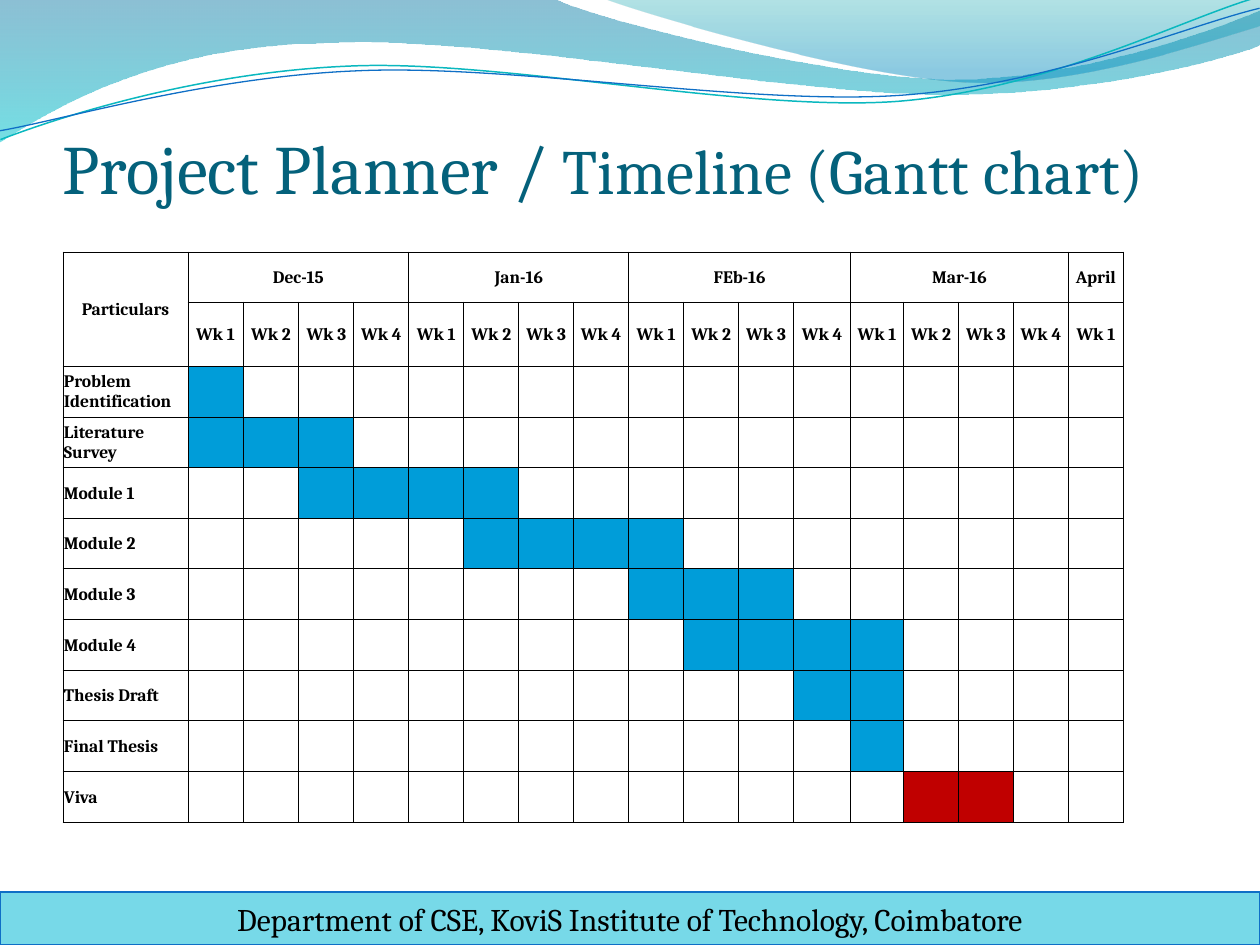
from pptx import Presentation
from pptx.dml.color import RGBColor as RGB
from pptx.enum.shapes import MSO_SHAPE as Kind
from pptx.enum.text import MSO_ANCHOR as Anchor, PP_ALIGN as Align
from pptx.oxml import parse_xml
from pptx.oxml.ns import nsdecls
from pptx.util import Emu, Pt

PX = 7257.14  # EMU in one px, 126 px to the inch
FONT, BLACK = "Cambria", "000000"
BLUE, RED, EDGE = "009DD9", "C00000", "0F6FC6"
NS = nsdecls("a")


def px(n):
    return Emu(round(n * PX))


def add_run(para, text, size, code, bold=False):
    run = para.add_run()
    run.text = text
    font = run.font
    font.name, font.size, font.bold = FONT, Pt(size), bold
    font.color.rgb = RGB.from_string(code)


deck = Presentation()
deck.slide_width, deck.slide_height = px(1260), px(945)
slide = deck.slides.add_slide(deck.slide_layouts[6])
shapes = slide.shapes

# Waves: start, then lines (x, y) and curves (two handles and an end), stops, line, turn
waves = [
    ((0, 0), [(554, -1), (600, 21, 837, 79, 955, 79), (1075, 79, 1207, 33, 1260, 11),
              (1261, 45), (1239, 55, 1096, 96, 940, 94), (784, 94, 481, 35, 324, 43),
              (163, 45, 58, 105, -1, 142), (0, 0)],
     [(0, "0074A1", 45), (1, "00C6CF", 55)], None, 0),
    ((604, -1), [(642, 14, 859, 78, 969, 82), (1079, 87, 1211, 40, 1260, 26),
                 (1260, 0), (604, -1)],
     [(0, "00A1A9", 30), (0.8, "008BBF", 45)], None, 0),
    ((-2, 110), [(58, 90, 199, 52, 350, 53), (499, 53, 745, 118, 896, 114),
                 (1049, 109, 1184, 45, 1260, 27)], None, ("0AB8BF", 0.85), -2.7),
    ((-2, 101), [(57, 94, 207, 57, 357, 58), (509, 58, 750, 112, 902, 108),
                 (1052, 104, 1188, 52, 1262, 38)], None, (EDGE, 0.75), -2.7),
]
for start, parts, stops, line, turn in waves:
    dots = [(px(p[i]), px(p[i + 1])) for p in parts for i in range(0, len(p), 2)]
    pen = shapes.build_freeform(px(start[0]), px(start[1]))
    pen.add_line_segments(dots, close=bool(stops))
    wave = pen.convert_to_shape()
    wave.shadow.inherit = False
    wave.rotation = turn

    # Join three points into one curve
    legs = iter(wave.element.findall(".//{*}lnTo"))
    for part in parts:
        leg = next(legs)
        if len(part) == 6:
            curve = parse_xml(f"<a:cubicBezTo {NS}/>")
            leg.addprevious(curve)
            for old in (leg, next(legs), next(legs)):
                curve.append(old[0])
                old.getparent().remove(old)

    if stops:
        wave.line.fill.background()
        wave.fill.gradient()
        wave.fill.gradient_angle = 270
        for stop, (place, code, alpha) in zip(wave.fill.gradient_stops, stops):
            stop.position = place
            stop.color.rgb = RGB.from_string(code)
        for tint, (place, code, alpha) in zip(
                wave.element.findall(".//{*}gs/{*}srgbClr"), stops):
            tint.append(parse_xml(f'<a:alpha {NS} val="{alpha * 1000}"/>'))
    else:
        wave.fill.background()
        wave.line.color.rgb = RGB.from_string(line[0])
        wave.line.width = Pt(line[1])

# Title
title = shapes.add_textbox(px(63), px(116), px(1134), px(92)).text_frame
title.word_wrap = True
title.vertical_anchor = Anchor.BOTTOM
title.margin_left = title.margin_right = title.margin_bottom = 0
add_run(title.paragraphs[0], "Project Planner / ", 39.6, "04617B")
add_run(title.paragraphs[0], "Timeline (Gantt chart)", 36, "04617B")

# Footer band
band = shapes.add_shape(Kind.RECTANGLE, 0, px(892), px(1260), px(53))
band.shadow.inherit = False
band.fill.solid()
band.fill.fore_color.rgb = RGB.from_string("77D9E8")
band.line.color.rgb = RGB.from_string(EDGE)
band.line.width = Pt(0.75)
foot = band.text_frame.paragraphs[0]
foot.alignment = Align.CENTER
add_run(foot, "Department of CSE, KoviS Institute of Technology, Coimbatore", 18, BLACK)

# Gantt data: task, first week, last week, colour
tasks = [
    ("Problem Identification", 1, 1, BLUE),
    ("Literature Survey", 1, 3, BLUE),
    ("Module 1", 3, 6, BLUE),
    ("Module 2", 6, 9, BLUE),
    ("Module 3", 9, 11, BLUE),
    ("Module 4", 10, 13, BLUE),
    ("Thesis Draft", 12, 13, BLUE),
    ("Final Thesis", 13, 13, BLUE),
    ("Viva", 14, 15, RED),
]
months = ["Dec-15", "Jan-16", "FEb-16", "Mar-16", "April"]
weeks = 17
wide = [125, 55, 56] + [55] * 9 + [57, 53] + [55] * 4
high = [50, 64, 51, 50, 51, 50, 51, 50, 50, 51, 50]

# Table grid
table = shapes.add_table(len(high), len(wide), px(63), px(252),
                         px(sum(wide)), px(sum(high))).table
table.first_row = table.horz_banding = False
for col, w in zip(table.columns, wide):
    col.width = px(w)
for row, h in zip(table.rows, high):
    row.height = px(h)

# Table words
words = {(0, 0): "Particulars"}
for i, month in enumerate(months):
    words[0, 1 + 4 * i] = month
for c in range(1, weeks + 1):
    words[1, c] = f"Wk {(c - 1) % 4 + 1}"
for r, task in enumerate(tasks, 2):
    words[r, 0] = task[0]

# Cells: borders, bars and text
for r in range(len(high)):
    for c in range(len(wide)):
        cell = table.cell(r, c)
        props = cell._tc.get_or_add_tcPr()
        for side in "LRTB":
            props.append(parse_xml(
                f'<a:ln{side} {NS} w="6350"><a:solidFill><a:srgbClr val="{BLACK}"/>'
                f'</a:solidFill></a:ln{side}>'))
        cell.fill.background()
        if r > 1:
            name, first, last, code = tasks[r - 2]
            if first <= c <= last:
                cell.fill.solid()
                cell.fill.fore_color.rgb = RGB.from_string(code)
        if (r, c) in words:
            cell.vertical_anchor = Anchor.MIDDLE
            cell.margin_left = cell.margin_right = cell.margin_top = px(1)
            cell.margin_bottom = 0
            para = cell.text_frame.paragraphs[0]
            para.alignment = Align.CENTER if r < 2 else Align.LEFT
            add_run(para, words[r, c], 10, BLACK, True)

# Merged headings
table.cell(0, 0).merge(table.cell(1, 0))
for c in range(1, weeks, 4):
    table.cell(0, c).merge(table.cell(0, min(c + 3, weeks)))

deck.save("out.pptx")
